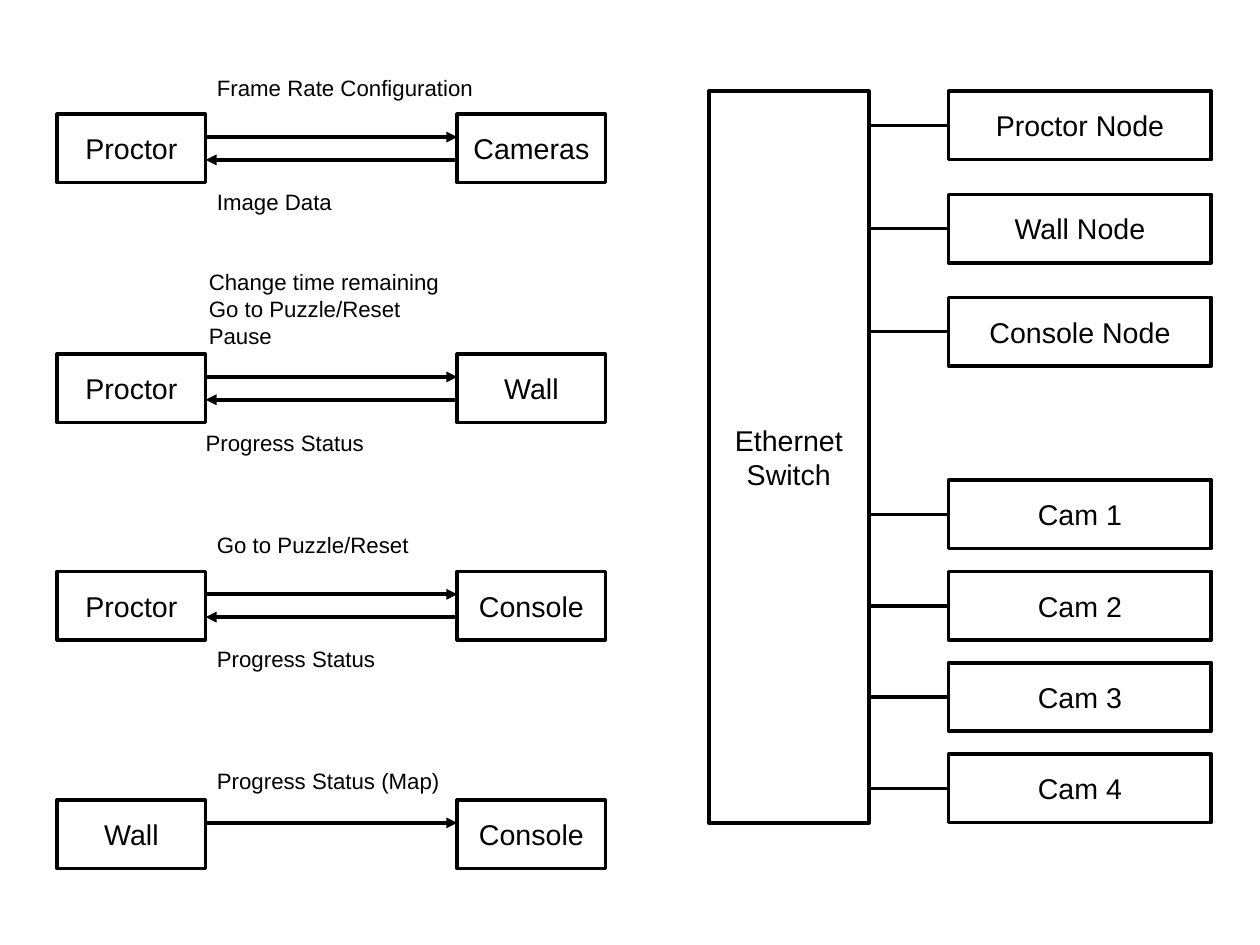
import pptx
import pptx.dml.color
import pptx.enum.shapes
import pptx.enum.text
import pptx.oxml
import pptx.oxml.ns
import pptx.util

Cm, Pt = pptx.util.Cm, pptx.util.Pt
RGB = pptx.dml.color.RGBColor

theme = {
    "ink": RGB(0, 0, 0),
    "paper": RGB(255, 255, 255),
    "font": "Arial",
    "box": Pt(18),
    "note": Pt(14),
    "line": Pt(2.3),
}
anchor = pptx.enum.text.MSO_ANCHOR
center = pptx.enum.text.PP_ALIGN.CENTER
left = pptx.enum.text.PP_ALIGN.LEFT
frames = {
    "box": {"word_wrap": False, "vertical_anchor": anchor.MIDDLE,
            "margin_left": Cm(0.28), "margin_right": Cm(0.28),
            "margin_top": Cm(0.15), "margin_bottom": Cm(0.15)},
    "note": {"word_wrap": True, "vertical_anchor": anchor.TOP,
             "margin_left": Cm(0.25), "margin_right": Cm(0.25),
             "margin_top": Cm(0.13), "margin_bottom": Cm(0.13)},
}
aligns = {"box": center, "note": left}

deck = pptx.Presentation()
deck.slide_width, deck.slide_height = Cm(28), Cm(21)
slide = deck.slides.add_slide(deck.slide_layouts[6])


def label(kind, text, x, y, w, h):
    """Add a framed box or a plain note, one paragraph per line of text."""
    area = Cm(x), Cm(y), Cm(w), Cm(h)
    if kind == "box":
        shape = slide.shapes.add_shape(
            pptx.enum.shapes.MSO_SHAPE.RECTANGLE, *area)
        shape.shadow.inherit = False
        shape.fill.solid()
        shape.fill.fore_color.rgb = theme["paper"]
        shape.line.color.rgb = theme["ink"]
        shape.line.width = theme["line"]
    else:
        shape = slide.shapes.add_textbox(*area)
    frame = shape.text_frame
    for name, value in frames[kind].items():
        setattr(frame, name, value)
    frame.text = text
    for para in frame.paragraphs:
        para.alignment = aligns[kind]
        font = para.runs[0].font
        font.name, font.size = theme["font"], theme[kind]
        font.color.rgb = theme["ink"]


def link(start, end, y, tip=None):
    """Add a level line; tip is headEnd, tailEnd or None."""
    line = slide.shapes.add_connector(
        pptx.enum.shapes.MSO_CONNECTOR.STRAIGHT,
        Cm(start), Cm(y), Cm(end), Cm(y))
    line.line.color.rgb = theme["ink"]
    line.line.width = theme["line"]
    props = line._element.spPr
    if tip:
        head = pptx.oxml.parse_xml(
            f'<a:{tip} {pptx.oxml.ns.nsdecls("a")} type="triangle"/>')
        props.get_or_add_ln().append(head)
    props.append(pptx.oxml.parse_xml(
        f'<a:effectLst {pptx.oxml.ns.nsdecls("a")}/>'))


high = 1.52

# Network: devices wired to the switch
hosts = ["Proctor Node", "Wall Node", "Console Node"]
cams = ["Cam 1", "Cam 2", "Cam 3", "Cam 4"]
for names, top, pitch in [(hosts, 2.03, 2.29), (cams, 10.67, 2.03)]:
    for i, name in enumerate(names):
        y = top + i * pitch
        link(18.8, 21.34, y + high / 2)
        label("box", name, 21.08, y, 5.84, high)
label("box", "Ethernet\nSwitch", 15.75, 2.03, 3.56, 16.26)

# Message flows: sender, receiver, top, arrows out and back
flows = [
    ("Proctor", "Cameras", 2.54, ["tailEnd", "headEnd"]),
    ("Proctor", "Wall", 7.87, ["tailEnd", "headEnd"]),
    ("Proctor", "Console", 12.7, ["tailEnd", "headEnd"]),
    ("Wall", "Console", 17.78, ["tailEnd"]),
]
for source, target, y, tips in flows:
    label("box", source, 1.27, y, 3.3, high)
    label("box", target, 10.16, y, 3.3, high)
    for i, tip in enumerate(tips, 1):
        link(4.57, 10.16, y + i * high / 3, tip)

# Message names: text, left, top, height
notes = [
    ("Frame Rate Configuration", 4.57, 1.52, 0.86),
    ("Image Data", 4.57, 4.06, 0.86),
    ("Change time remaining\nGo to Puzzle/Reset\nPause", 4.39, 5.84, 1.9),
    ("Progress Status", 4.32, 9.4, 0.86),
    ("Go to Puzzle/Reset", 4.57, 11.68, 0.86),
    ("Progress Status", 4.57, 14.22, 0.86),
    ("Progress Status (Map)", 4.57, 16.92, 0.86),
]
for text, x, y, tall in notes:
    label("note", text, x, y, 6.35, tall)

deck.save("out.pptx")
